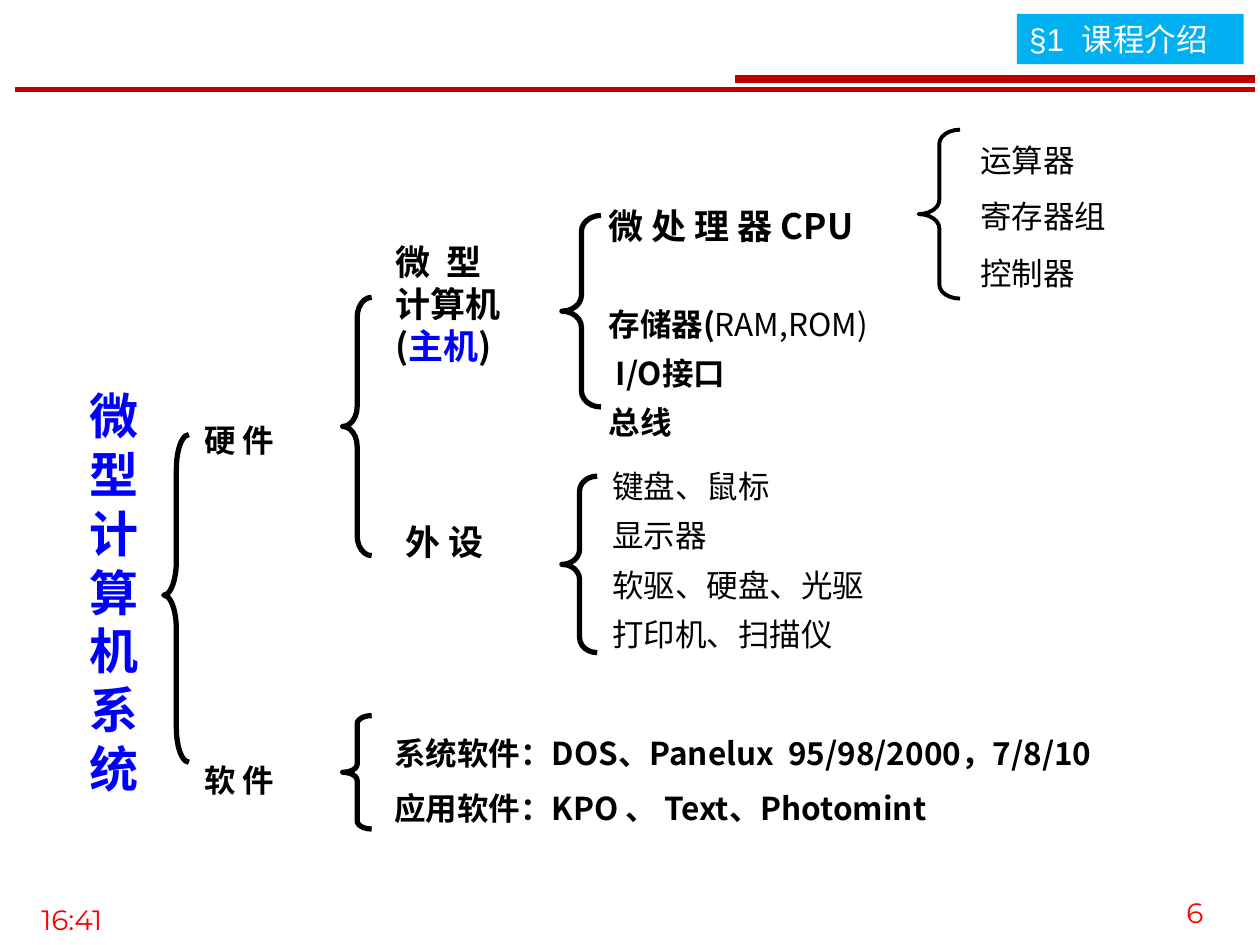
import pptx
import pptx.util
import pptx.dml.color
import pptx.enum.shapes
import pptx.enum.text
import lxml.etree

Inches, Pt = pptx.util.Inches, pptx.util.Pt
Shape = pptx.enum.shapes.MSO_SHAPE
Align = pptx.enum.text.PP_ALIGN
Anchor = pptx.enum.text.MSO_ANCHOR
CJK, SANS, FOOT = "Noto Sans CJK SC", "Arial", "Montserrat"
BLACK, BLUE, RED, WHITE = "000000", "0000FF", "FF0000", "FFFFFF"
CRIMSON, SKY = "C00000", "00B0F0"

rules = [(0.12, 0.71, 3), (5.83, 0.63, 4.5)]
RIGHT = 9.96

braces = [
    ((7.29, 1.03, 0.33, 1.34), 0.34, 0.5, 2.25),
    ((1.3, 3.45, 0.2, 2.6), 1.36, 0.49, 3),
    ((2.72, 5.68, 0.23, 0.9), 0.28, 0.5, 3),
    ((4.46, 1.71, 0.31, 1.52), 0.41, 0.5, 3),
    ((2.72, 2.36, 0.23, 2.05), 0.69, 0.5, 3),
    ((4.46, 3.78, 0.28, 1.4), 0.42, 0.5, 3),
]

HEAD = ((8.07, 0.11, 1.8, 0.4),
        [[("§1  ", {"name": SANS}), ("课程介绍", {})]], {"color": WHITE})

BOLD = {"bold": True}
BIG = {"bold": True, "size": 20}
TIGHT = {"pad": 0}
texts = [
    ((0.23, 7.11, 1.02, 0.39), ["16:41"],
     {"name": FOOT, "size": 16, "color": RED}),
    ((8.91, 7.06, 0.74, 0.44), ["6"],
     {"name": FOOT, "size": 16, "color": RED, "align": Align.RIGHT}),
    ((0.67, 3.06, 0.47, 3.48), ["微型计算机系统"],
     {"size": 28, "color": BLUE, "align": Align.CENTER, **BOLD, **TIGHT}),
    ((1.62, 3.34, 1.02, 0.3), ["硬 件"], {**BOLD, **TIGHT}),
    ((1.62, 6.04, 1.02, 0.3), ["软 件"], {**BOLD, **TIGHT}),
    ((3.04, 1.86, 1.3, 1.22),
     ["微  型", "计算机", [("(", {}), ("主机", {"color": BLUE}), (")", {})]], BIG),
    ((3.12, 4.08, 1.14, 0.49), ["外 设"], BIG),
    ((4.83, 1.56, 3.99, 0.45), [[("微 处 理 器 CPU", {"size": 20})]],
     {"line": 1.2, **BOLD, **TIGHT}),
    ((4.83, 2.33, 3.99, 1.17),
     [[("存储器(", {}), ("RAM,ROM)", {"bold": False})], " I/O接口", "总线"],
     {"line": 1.3, **BOLD, **TIGHT}),
    ((7.68, 0.95, 1.57, 1.53), ["运算器", "寄存器组", "控制器"],
     {"line": 1.4, "after": 2}),
    ((4.76, 3.57, 3.02, 1.68),
     ["键盘、鼠标", "显示器", "软驱、硬盘、光驱", "打印机、扫描仪"], {"line": 1.3}),
    ((3.03, 5.72, 6.46, 0.89),
     ["系统软件：DOS、Panelux  95/98/2000，7/8/10",
      "应用软件：KPO 、 Text、Photomint"],
     {"line": 1.2, "after": 5, **BOLD}),
]


def hue(code):
    return pptx.dml.color.RGBColor.from_string(code)


def child(node, tag, **attrs):
    return lxml.etree.SubElement(node, pptx.oxml.ns.qn(tag), attrs)


def write(shape, paras, look):
    base = {"name": CJK, "size": 18, "bold": False, "color": BLACK}
    frame = shape.text_frame
    pad = look.get("pad")
    frame.word_wrap = True
    if pad is not None:
        for side in ("left", "top", "right", "bottom"):
            setattr(frame, "margin_" + side, Inches(pad))
    for i, runs in enumerate(paras):
        para = frame.add_paragraph() if i else frame.paragraphs[0]
        form = {"alignment": look.get("align", Align.LEFT),
                "line_spacing": look.get("line", 1.0),
                "space_after": Pt(look.get("after", 0))}
        for key, value in form.items():
            setattr(para, key, value)
        for words, extra in [(runs, {})] if isinstance(runs, str) else runs:
            run = para.add_run()
            run.text = words
            style = {**base, **look, **extra}
            for key in ("name", "bold"):
                setattr(run.font, key, style[key])
            run.font.size = Pt(style["size"])
            run.font.color.rgb = hue(style["color"])
            child(run.font._element, "a:ea", typeface=style["name"])


def main():
    deck = pptx.Presentation()
    deck.slide_width, deck.slide_height = Inches(10), Inches(7.5)
    shapes = deck.slides.add_slide(deck.slide_layouts[6]).shapes

    place, paras, look = HEAD
    tag = shapes.add_shape(Shape.RECTANGLE, *map(Inches, place))
    tag.shadow.inherit = False
    tag.fill.solid()
    tag.fill.fore_color.rgb = hue(SKY)
    tag.line.fill.background()
    tag.text_frame.vertical_anchor = Anchor.MIDDLE
    write(tag, paras, look)

    for left, top, width in rules:
        rule = shapes.add_connector(pptx.enum.shapes.MSO_CONNECTOR.STRAIGHT,
                                    *map(Inches, (left, top, RIGHT, top)))
        rule.line.color.rgb = hue(CRIMSON)
        rule.line.width = Pt(width)
        child(rule._element.spPr, "a:effectLst")

    for place, curl, tip, width in braces:
        brace = shapes.add_shape(Shape.LEFT_BRACE, *map(Inches, place))
        brace.shadow.inherit = False
        brace.adjustments[0], brace.adjustments[1] = curl, tip
        brace.fill.background()
        brace.line.color.rgb = hue(BLACK)
        brace.line.width = Pt(width)

    for place, paras, look in texts:
        write(shapes.add_textbox(*map(Inches, place)), paras, look)

    deck.save("out.pptx")


if __name__ == "__main__":
    main()
